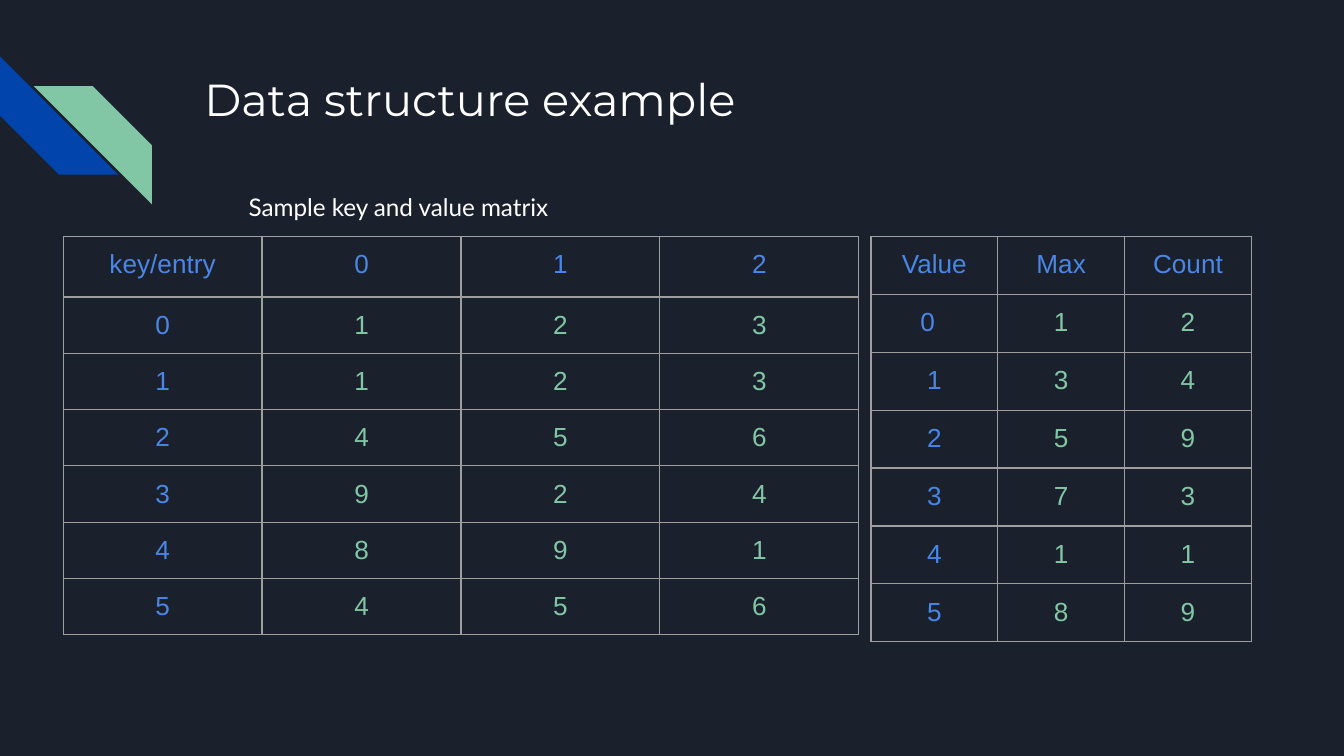
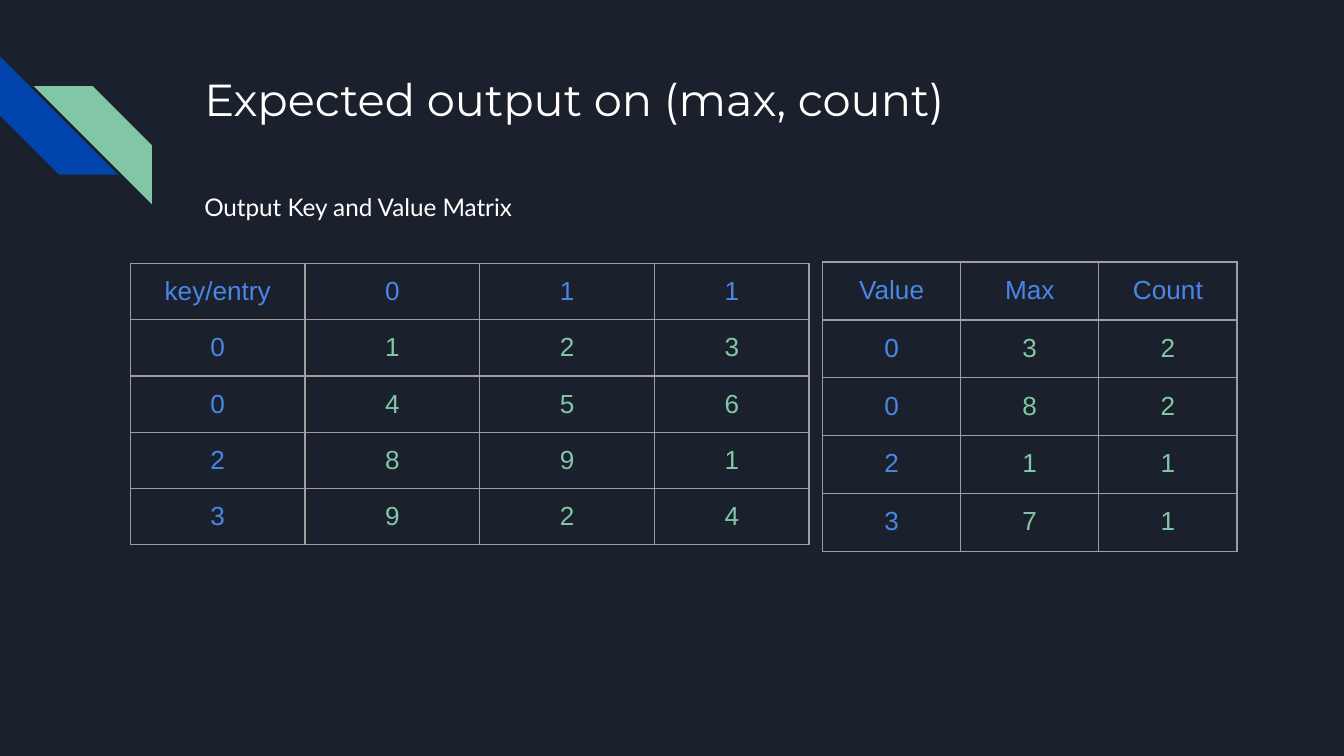
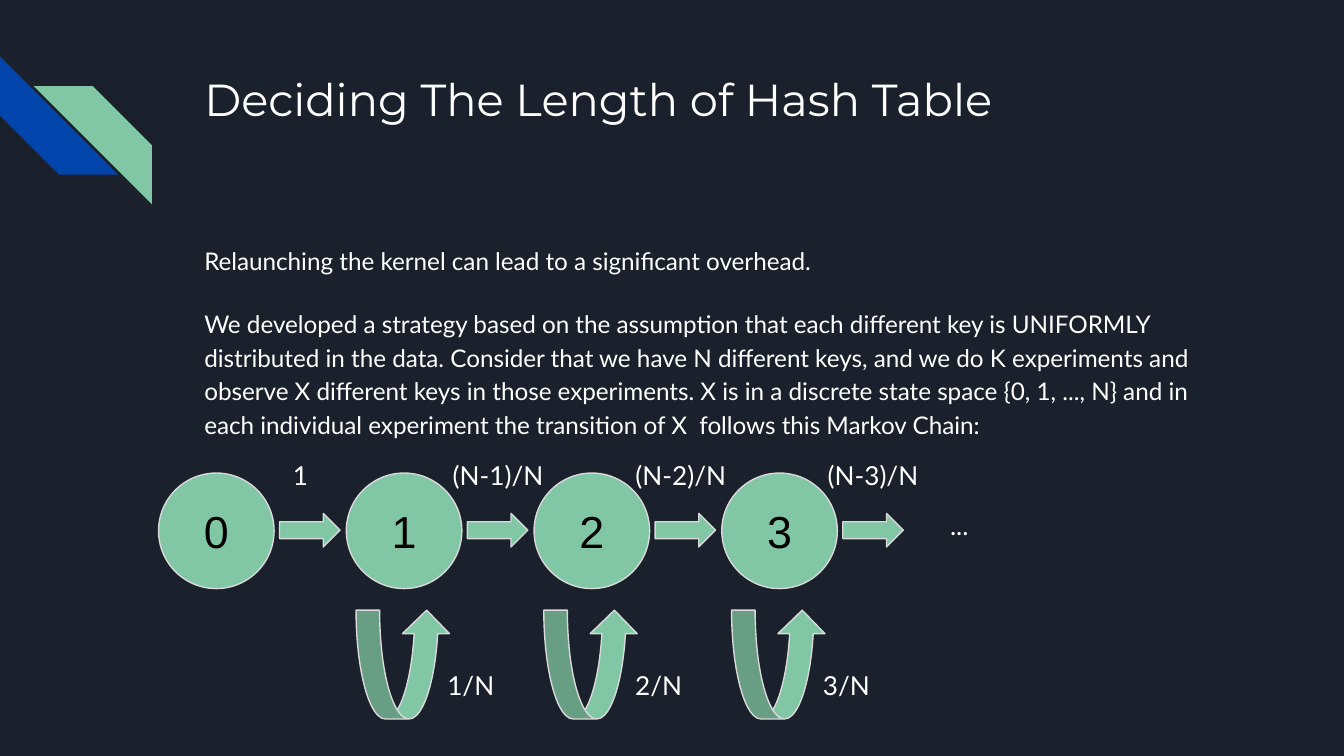
from dataclasses import dataclass

from lxml import etree
from pptx import Presentation
from pptx.dml.color import RGBColor
from pptx.enum.shapes import MSO_SHAPE
from pptx.enum.text import MSO_ANCHOR, MSO_AUTO_SIZE, PP_ALIGN
from pptx.oxml.ns import qn
from pptx.util import Inches, Pt

STRIPE = MSO_SHAPE.DIAGONAL_STRIPE
OVAL = MSO_SHAPE.OVAL
ARROW = MSO_SHAPE.RIGHT_ARROW
LOOP = MSO_SHAPE.CURVED_UP_ARROW
TOP, MIDDLE = MSO_ANCHOR.TOP, MSO_ANCHOR.MIDDLE
LEFT, CENTER = PP_ALIGN.LEFT, PP_ALIGN.CENTER
FIXED = MSO_AUTO_SIZE.NONE

COLORS = {
    "back": "1B212C", "blue": "0145AC", "green": "82C7A5", "key": "4A86E8",
    "text": "FFFFFF", "dark": "000000", "edge": "D9D9D9", "grid": "9E9E9E",
}

# Square grid: 100 columns across the slide, 56.25 rows down.
WIDTH, HEIGHT = Inches(10), Inches(5.625)
UNIT = WIDTH / 100
INSET = round(UNIT)


def span(units: float) -> int:
    return round(units * UNIT)


@dataclass(frozen=True)
class Box:
    """A place on the grid, in columns and rows."""
    col: float
    row: float
    wide: float
    high: float

    def place(self) -> tuple[int, int, int, int]:
        return span(self.col), span(self.row), span(self.wide), span(self.high)

    def shift(self, cols: float) -> "Box":
        return Box(self.col + cols, self.row, self.wide, self.high)


@dataclass(frozen=True)
class Font:
    name: str
    size: float
    color: str


@dataclass(frozen=True)
class Matrix:
    """A table; its lines hold one row each, with cells split at spaces."""
    col: float
    row: float
    cols: tuple[float, ...]
    rows: tuple[float, ...]
    lines: tuple[str, ...]
    nudge: tuple[int, int] | None = None


@dataclass(frozen=True)
class Page:
    title: str
    body: Box
    lines: tuple[str, ...]
    tables: tuple[Matrix, ...] = ()


HEAD = Font("Montserrat", 24, "text")
BODY = Font("Lato", 13, "text")
LABEL = Font("Lato", 14, "text")
STATE = Font("Arial", 24, "dark")
KEY = Font("Arial", 14, "key")
VALUE = Font("Arial", 14, "green")

TITLE = Box(14.2, 4.3, 77, 10)
BAND = Box(0, 4.2, 8.8, 8.8)
TWIN = Box(2.5, 6.4, 8.8, 8.8)

PAGES = (
    Page(
        "Data structure example", Box(17.5, 13, 77, 31.8),
        ("Sample key and value matrix",),
        (
            Matrix(4.7, 17.6, (14.8,) * 4, (4.5,) + (4.18,) * 6,
                   ("key/entry 0 1 2", "0 1 2 3", "1 1 2 3", "2 4 5 6",
                    "3 9 2 4", "4 8 9 1", "5 4 5 6")),
            Matrix(64.8, 17.6, (9.44,) * 3, (4.31,) * 7,
                   ("Value Max Count", "0 1 2", "1 3 4", "2 5 9",
                    "3 7 3", "4 1 1", "5 8 9"), (1, 0)),
        ),
    ),
    Page(
        "Expected output on (max, count)", Box(14.2, 13, 77, 31.8),
        ("Output Key and Value Matrix",),
        (
            Matrix(9.7, 19.6, (13, 13, 13, 11.5), (4.18,) * 5,
                   ("key/entry 0 1 1", "0 1 2 3", "0 4 5 6", "2 8 9 1",
                    "3 9 2 4")),
            Matrix(61.2, 19.5, (10.28,) * 3, (4.31,) * 5,
                   ("Value Max Count", "0 3 2", "0 8 2", "2 1 1", "3 7 1")),
        ),
    ),
    Page(
        "Deciding The Length of Hash Table", Box(14.2, 17, 77, 31.8),
        ("Relaunching the kernel can lead to a significant overhead.",
         "We developed a strategy based on the assumption that each different "
         "key is UNIFORMLY distributed in the data. Consider that we have N "
         "different keys, and we do K experiments and observe X different keys "
         "in those experiments. X is in a discrete state space {0, 1, ..., N} "
         "and in each individual experiment the transition of X  follows this "
         "Markov Chain:"),
    ),
)

STEP = 13.97
NODE = Box(11.8, 35.2, 8.6, 8.6)
NEXT = Box(20.8, 38.2, 4.5, 2.5)
BACK = Box(12.53, 45.4, 7, 8.1)
STAY = Box(18.33, 48.8, 9.5, 5.1)
ODDS = (
    ("1", Box(20.8, 33.2, 4.5, 5.1)),
    ("(N-1)/N", Box(32.7, 33.2, 9.5, 5.1)),
    ("(N-2)/N", Box(46.3, 33.2, 9.5, 5.1)),
    ("(N-3)/N", Box(60.6, 33.2, 9.5, 5.1)),
    ("...", Box(69.7, 36.9, 9.5, 5.1)),
)


def paint(name: str) -> RGBColor:
    return RGBColor.from_string(COLORS[name])


def write(para, text: str, font: Font, align=LEFT) -> None:
    para.alignment = align
    run = para.add_run()
    run.text = text
    run.font.name = font.name
    run.font.size = Pt(font.size)
    run.font.color.rgb = paint(font.color)


def frame(shape, anchor=TOP):
    """Give the shape's text even insets and a fixed size."""
    text = shape.text_frame
    text.word_wrap = True
    text.auto_size = FIXED
    text.vertical_anchor = anchor
    text.margin_left = text.margin_right = INSET
    text.margin_top = text.margin_bottom = INSET
    return text


def draw(slide, kind, box: Box, fill: str, edge: str | None = None):
    shape = slide.shapes.add_shape(kind, *box.place())
    shape.shadow.inherit = False
    shape.fill.solid()
    shape.fill.fore_color.rgb = paint(fill)
    if edge:
        shape.line.color.rgb = paint(edge)
        shape.line.width = Pt(0.75)
    else:
        shape.line.fill.background()
    return shape


def label(slide, text: str, box: Box) -> None:
    note = slide.shapes.add_textbox(*box.place())
    write(frame(note).paragraphs[0], text, LABEL)


def rule(cell) -> None:
    """Line all four sides of a cell."""
    props = cell._tc.get_or_add_tcPr()
    for spot, side in enumerate(("lnL", "lnR", "lnT", "lnB")):
        line = etree.Element(qn(f"a:{side}"), w=str(Pt(0.75)))
        fill = etree.SubElement(line, qn("a:solidFill"))
        etree.SubElement(fill, qn("a:srgbClr"), val=COLORS["grid"])
        props.insert(spot, line)


def tabulate(slide, data: Matrix) -> None:
    box = Box(data.col, data.row, sum(data.cols), sum(data.rows))
    table = slide.shapes.add_table(
        len(data.rows), len(data.cols), *box.place()).table
    table.first_row = table.horz_banding = False
    for col, wide in zip(table.columns, data.cols):
        col.width = span(wide)
    for r, (high, line) in enumerate(zip(data.rows, data.lines)):
        table.rows[r].height = span(high)
        for c, text in enumerate(line.split()):
            cell = table.cell(r, c)
            cell.margin_left = cell.margin_right = INSET
            cell.margin_top = cell.margin_bottom = INSET
            if (r, c) == data.nudge:
                cell.margin_right = 2 * INSET
            cell.fill.background()
            rule(cell)
            font = VALUE if r and c else KEY
            write(cell.text_frame.paragraphs[0], text, font, CENTER)


def fill(slide, page: Page) -> None:
    """Set the title and body placeholders."""
    title, body = slide.placeholders
    for holder, box in ((title, TITLE), (body, page.body)):
        holder.left, holder.top, holder.width, holder.height = box.place()
    write(frame(title).paragraphs[0], page.title, HEAD)
    text = frame(body)
    for i, line in enumerate(page.lines):
        para = text.add_paragraph() if i else text.paragraphs[0]
        para.line_spacing = 1.15
        para.space_before = Pt(16 if i else 0)
        props = para._p.get_or_add_pPr()
        props.set("marL", "0")
        props.set("indent", "0")
        etree.SubElement(props, qn("a:buNone"))
        write(para, line, BODY)


def brand(master, slide) -> None:
    """Colour the master and move the two stripes onto it."""
    master.background.fill.solid()
    master.background.fill.fore_color.rgb = paint("back")
    band = draw(slide, STRIPE, BAND, "blue")
    band.rotation = 270
    twin = draw(slide, STRIPE, TWIN, "green")
    twin.element.spPr.find(qn("a:xfrm")).set("flipH", "1")
    tree = master.element.cSld.spTree
    for i, shape in enumerate((band, twin)):
        shape.element.nvSpPr.cNvPr.set("id", str(101 + i))
        tree.insert(2 + i, shape.element)


def chain(slide) -> None:
    """Draw the Markov chain with its steps, loops and odds."""
    for i in range(4):
        move = i * STEP
        node = draw(slide, OVAL, NODE.shift(move), "green", "edge")
        write(frame(node, MIDDLE).paragraphs[0], str(i), STATE, CENTER)
        draw(slide, ARROW, NEXT.shift(move), "green", "edge")
        if i:
            draw(slide, LOOP, BACK.shift(move), "green", "edge")
            label(slide, f"{i}/N", STAY.shift(move))
    for text, box in ODDS:
        label(slide, text, box)


def main() -> None:
    deck = Presentation()
    deck.slide_width, deck.slide_height = WIDTH, HEIGHT
    for page in PAGES:
        slide = deck.slides.add_slide(deck.slide_layouts[1])
        fill(slide, page)
        for data in page.tables:
            tabulate(slide, data)
    brand(deck.slide_master, slide)
    chain(slide)
    deck.save("out.pptx")


if __name__ == "__main__":
    main()
